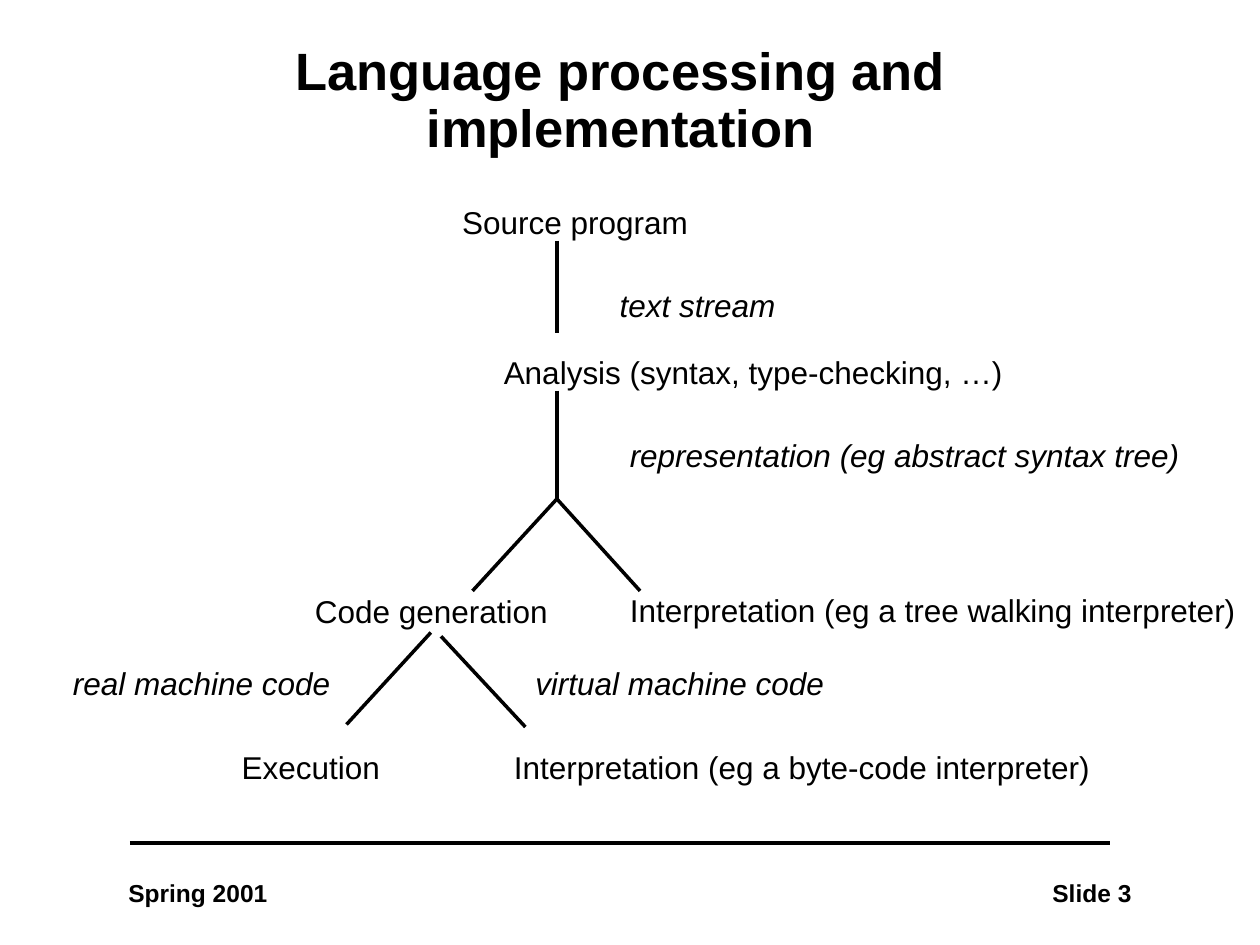
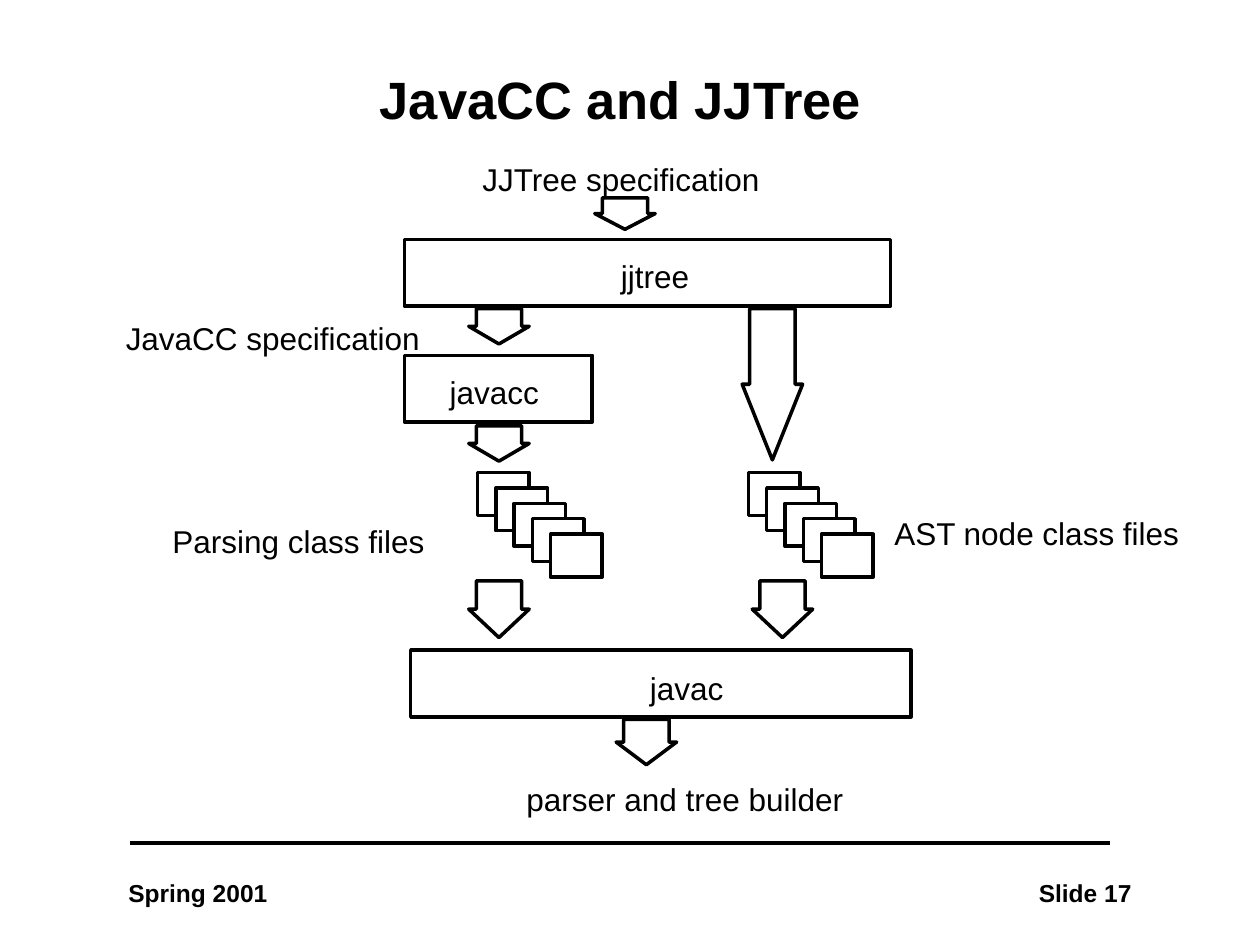
from typing import NamedTuple

from lxml.etree import SubElement
from pptx import Presentation
from pptx.dml.color import RGBColor
from pptx.enum.shapes import MSO_CONNECTOR, MSO_SHAPE as Preset
from pptx.enum.text import MSO_ANCHOR as Anchor, MSO_AUTO_SIZE as AutoSize, PP_ALIGN as Align
from pptx.oxml.ns import qn
from pptx.util import Inches, Pt

INK = "000000"
PAPER = "FFFFFF"
FONT = "Arial"
LINE_WIDTH = Pt(2)
ARROW_WIDTH = 0.48
STACK_SIZE = 5
STACK_SPREAD = (0.58, 0.49)  # offset of the front file from the back one


class Label(NamedTuple):
    text: str
    left: float
    top: float
    width: float
    italic: bool = False
    bold: bool = False
    size: int = 18
    height: float = 0.4
    align: Align = Align.LEFT


class Branch(NamedTuple):
    x1: float
    y1: float
    x2: float
    y2: float


class Box(NamedTuple):
    left: float
    top: float
    width: float
    height: float = 0.53


class Arrow(NamedTuple):
    left: float
    top: float
    height: float
    head: float = 0.5


# Slide 1: the processing tree
TREE_BRANCHES = [
    Branch(4.42, 1.91, 4.42, 2.64),
    Branch(4.42, 3.1, 4.42, 3.96),
    Branch(4.42, 3.96, 3.75, 4.69),
    Branch(4.42, 3.96, 5.08, 4.69),
    Branch(3.42, 5.02, 2.75, 5.75),
    Branch(3.5, 5.05, 4.17, 5.77),
]
TREE_LABELS = [
    Label("Source program", 3.57, 1.56, 1.99),
    Label("text stream", 4.82, 2.22, 1.44, italic=True),
    Label("Analysis (syntax, type-checking, …)", 3.9, 2.75, 4.16),
    Label("representation (eg abstract syntax tree)", 4.9, 3.41, 4.57, italic=True),
    Label("Code generation", 2.4, 4.65, 2.05),
    Label("Interpretation (eg a tree walking interpreter)", 4.9, 4.64, 5.01),
    Label("real machine code", 0.48, 5.22, 2.25, italic=True),
    Label("virtual machine code", 4.15, 5.22, 2.5, italic=True),
    Label("Execution", 1.82, 5.89, 1.3),
    Label("Interpretation (eg a byte-code interpreter)", 3.98, 5.89, 4.77),
]

# Slide 2: the tool chain
TOOL_BOXES = [Box(3.21, 1.9, 3.86), Box(3.21, 2.82, 1.49), Box(3.26, 5.16, 3.97)]
FLOW_ARROWS = [
    Arrow(4.72, 1.57, 0.25),
    Arrow(3.72, 2.45, 0.28),
    Arrow(3.72, 3.38, 0.28),
    Arrow(5.89, 2.45, 1.2, head=1.25),
    Arrow(3.72, 4.61, 0.45),
    Arrow(5.97, 4.61, 0.45),
    Arrow(4.89, 5.71, 0.36),
]
FILE_STACKS = [Box(left, 3.75, 0.41, 0.34) for left in (3.79, 5.94)]
TOOL_LABELS = [
    Label("JJTree specification", 3.73, 1.22, 2.41),
    Label("jjtree", 4.83, 1.99, 0.74),
    Label("JavaCC specification", 0.9, 2.48, 2.54),
    Label("javacc", 3.47, 2.91, 0.91),
    Label("Parsing class files", 1.27, 4.09, 2.2),
    Label("AST node class files", 7, 4.03, 2.47),
    Label("javac", 5.06, 5.26, 0.79),
    Label("parser and tree builder", 4.08, 6.14, 2.72),
]


def colour(code: str) -> RGBColor:
    return RGBColor.from_string(code)


def set_font(paragraph, size: int, bold: bool = False, italic: bool = False) -> None:
    font = paragraph.font
    font.name, font.size = FONT, Pt(size)
    font.bold, font.italic = bold, italic
    font.color.rgb = colour(INK)


def draw_label(slide, label: Label) -> None:
    frame = slide.shapes.add_textbox(
        Inches(label.left), Inches(label.top), Inches(label.width), Inches(label.height)
    ).text_frame
    frame.word_wrap = False
    frame.auto_size = AutoSize.SHAPE_TO_FIT_TEXT
    paragraph = frame.paragraphs[0]
    paragraph.text = label.text
    paragraph.alignment = label.align
    set_font(paragraph, label.size, label.bold, label.italic)


def draw_branch(slide, branch: Branch) -> None:
    connector = slide.shapes.add_connector(
        MSO_CONNECTOR.STRAIGHT, *(Inches(value) for value in branch)
    )
    connector.line.color.rgb = colour(INK)
    connector.line.width = LINE_WIDTH
    SubElement(connector._element.spPr, qn("a:effectLst"))


def draw_outlined(shapes, preset: Preset, box: Box):
    shape = shapes.add_shape(preset, *(Inches(value) for value in box))
    shape.shadow.inherit = False
    shape.fill.solid()
    shape.fill.fore_color.rgb = colour(PAPER)
    shape.line.color.rgb = colour(INK)
    shape.line.width = LINE_WIDTH
    return shape


def draw_arrow(slide, arrow: Arrow) -> None:
    bounds = Box(arrow.left, arrow.top, ARROW_WIDTH, arrow.height)
    shape = draw_outlined(slide.shapes, Preset.DOWN_ARROW, bounds)
    shape.adjustments[0] = 0.75
    shape.adjustments[1] = arrow.head


def draw_stack(slide, back: Box) -> None:
    group = slide.shapes.add_group_shape()
    for index in range(STACK_SIZE):
        dx, dy = (spread * index / (STACK_SIZE - 1) for spread in STACK_SPREAD)
        file = back._replace(left=back.left + dx, top=back.top + dy)
        draw_outlined(group.shapes, Preset.RECTANGLE, file)


def add_slide(deck, heading: str, number: int):
    """Add a slide with its title, footer rule and footer texts."""
    slide = deck.slides.add_slide(deck.slide_layouts[5])
    title = slide.shapes.title
    title.left, title.top = Inches(1.08), Inches(0.33)
    title.width, title.height = Inches(7.69), Inches(0.96)
    frame = title.text_frame
    frame.word_wrap = True
    frame.auto_size = AutoSize.NONE
    frame.vertical_anchor = Anchor.MIDDLE
    paragraph = frame.paragraphs[0]
    paragraph.text = heading
    paragraph.alignment = Align.CENTER
    paragraph.line_spacing = 0.9
    set_font(paragraph, 30, bold=True)

    draw_branch(slide, Branch(1.03, 6.69, 8.81, 6.69))
    footer = Label("Spring 2001", 0.92, 6.92, 1.31, bold=True, size=14, height=0.33)
    draw_label(slide, footer)
    draw_label(slide, footer._replace(
        text=f"Slide {number}", left=7.41, width=1.67, align=Align.RIGHT))
    return slide


def build_processing_tree(deck) -> None:
    slide = add_slide(deck, "Language processing and implementation", 3)
    for branch in TREE_BRANCHES:
        draw_branch(slide, branch)
    for label in TREE_LABELS:
        draw_label(slide, label)


def build_tool_chain(deck) -> None:
    slide = add_slide(deck, "JavaCC and JJTree", 17)
    for box in TOOL_BOXES:
        draw_outlined(slide.shapes, Preset.RECTANGLE, box)
    for arrow in FLOW_ARROWS:
        draw_arrow(slide, arrow)
    for stack in FILE_STACKS:
        draw_stack(slide, stack)
    for label in TOOL_LABELS:
        draw_label(slide, label)


def main() -> None:
    deck = Presentation()
    deck.slide_width, deck.slide_height = Inches(10), Inches(7.5)
    build_processing_tree(deck)
    build_tool_chain(deck)
    deck.save("out.pptx")


if __name__ == "__main__":
    main()
